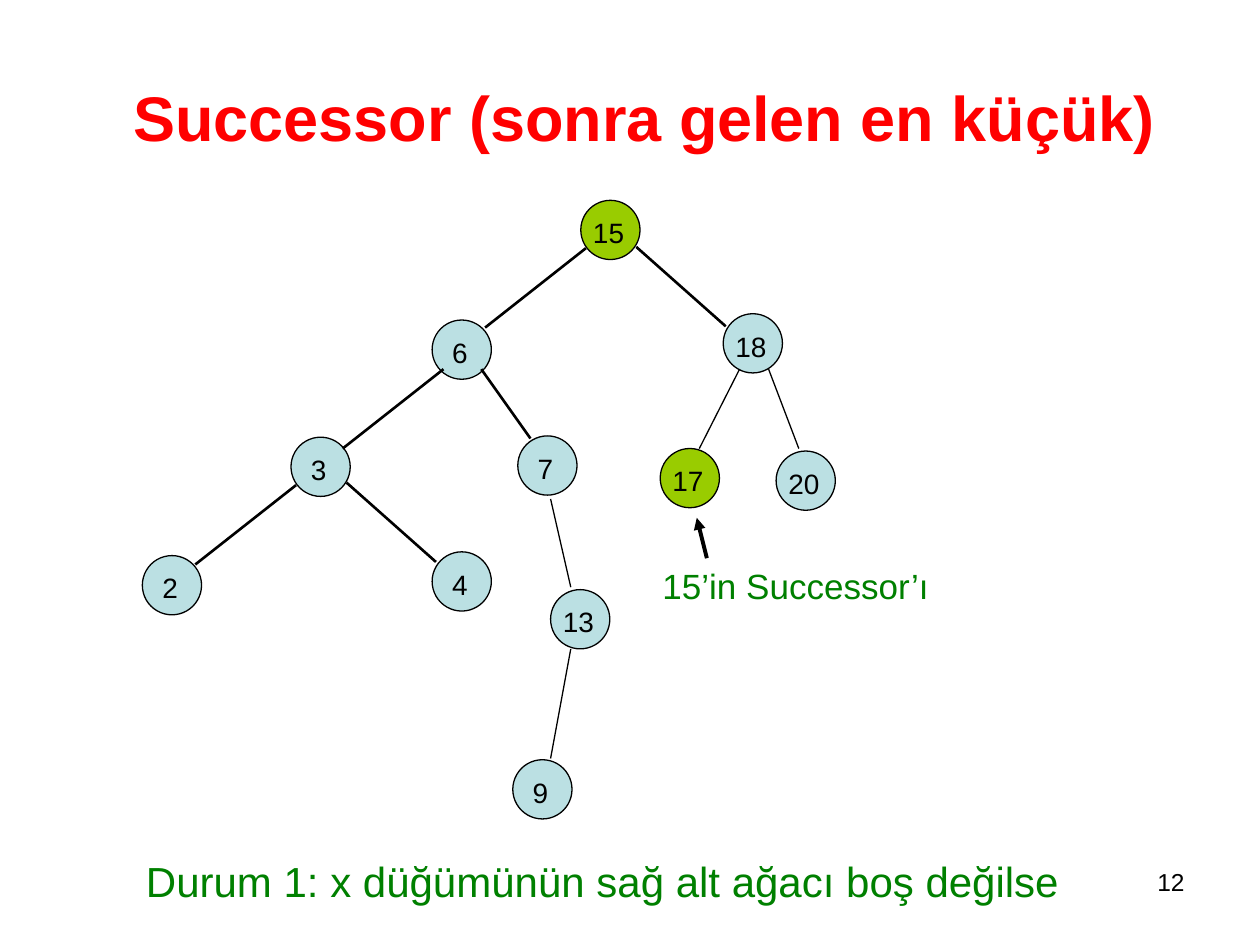
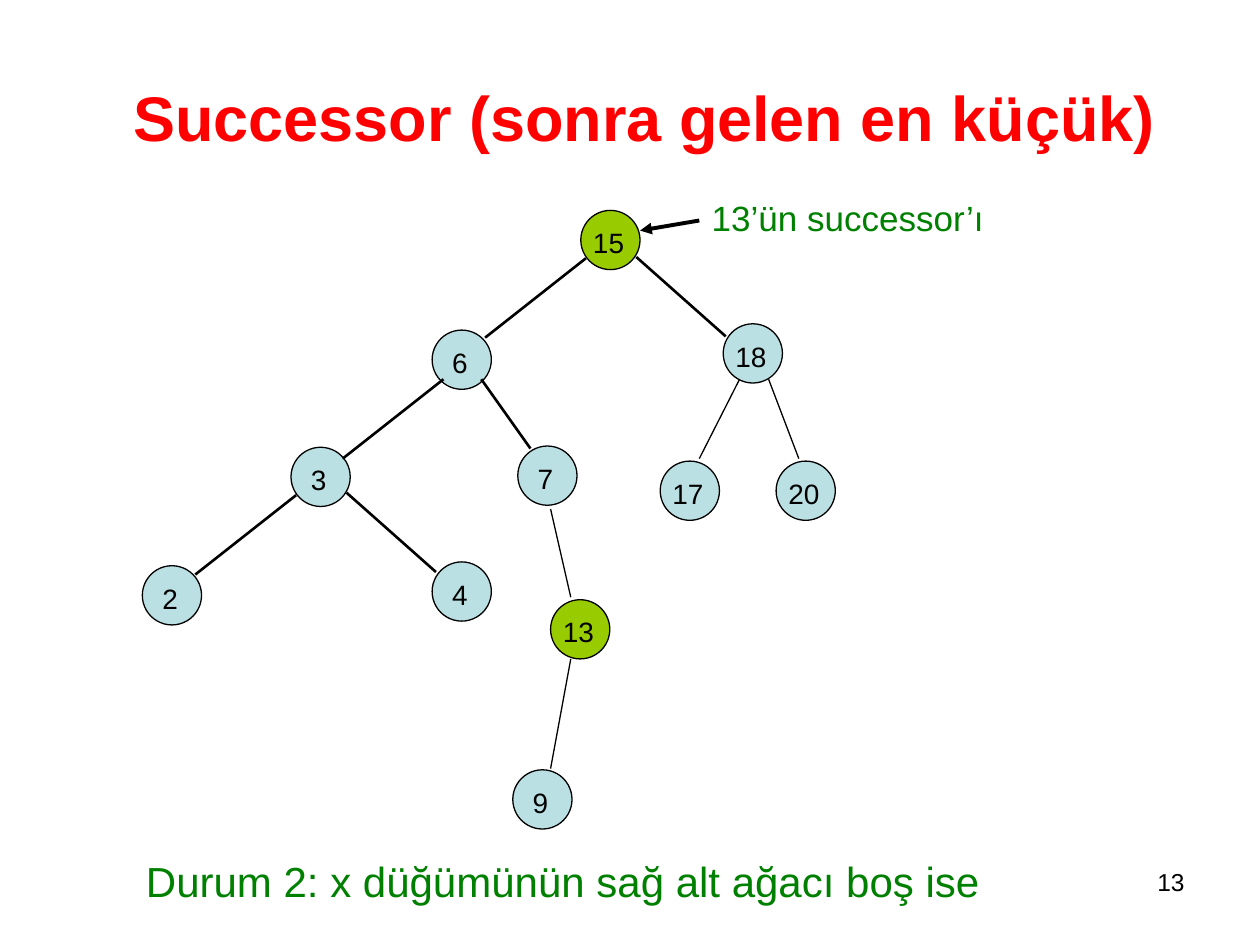
from lxml import etree
from pptx import Presentation
from pptx.dml.color import RGBColor
from pptx.enum.shapes import MSO_CONNECTOR, MSO_SHAPE
from pptx.enum.text import MSO_ANCHOR, PP_ALIGN
from pptx.oxml.ns import qn
from pptx.util import Inches, Pt

FONT = "Arial"
BLACK, RED, GREEN = "000000", "FF0000", "008000"
NODE_FILL, MARKED_FILL = "BBE0E3", "99CC00"
TITLE = "Successor (sonra gelen en küçük)"
TITLE_BOX = (0.5, 0.3, 9.23, 1.25)
CASE_BOX = (1.06, 6.74, 8.11, 0.5)
NUMBER_BOX = (7.17, 6.83, 2.33, 0.52)
NODE_SIZE = 0.47
THICK, THIN, ARROW = 1.5, 0.75, 2.25

NODES = {
    15: (4.61, 1.59), 6: (3.43, 2.54), 18: (5.74, 2.49),
    3: (2.31, 3.47), 7: (4.11, 3.46), 17: (5.24, 3.58), 20: (6.16, 3.58),
    2: (1.13, 4.41), 4: (3.43, 4.38), 13: (4.37, 4.68), 9: (4.07, 6.03),
}
EDGES = [
    (4.65, 1.97, 3.85, 2.6, THICK),
    (5.05, 1.96, 5.76, 2.59, THICK),
    (3.52, 2.93, 2.72, 3.56, THICK),
    (3.82, 2.93, 4.21, 3.48, THICK),
    (2.35, 3.85, 1.55, 4.48, THICK),
    (2.75, 3.83, 3.46, 4.46, THICK),
    (4.37, 3.96, 4.53, 4.66, THIN),
    (4.53, 5.15, 4.37, 6.02, THIN),
    (5.87, 2.93, 5.55, 3.56, THIN),
    (6.1, 2.93, 6.34, 3.56, THIN),
]
SLIDES = [
    {
        "number": "12",
        "case": "Durum 1: x düğümünün sağ alt ağacı boş değilse",
        "drop": 0, "moved": {17: (5.24, 3.56)}, "marked": (15, 17),
        "note": "15’in Successor’ı", "note_box": (5.16, 4.43, 2.6, 0.44),
        "arrow": (5.61, 4.43, 5.53, 4.11),
    },
    {
        "number": "13",
        "case": "Durum 2: x düğümünün sağ alt ağacı boş ise",
        "drop": 0.08, "moved": {}, "marked": (15, 13),
        "note": "13’ün successor’ı", "note_box": (5.55, 1.51, 2.52, 0.44),
        "arrow": (5.55, 1.75, 5.08, 1.83),
    },
]


def rgb(color):
    return RGBColor.from_string(color)


def write(tf, text, size, color, align=PP_ALIGN.LEFT, bold=False):
    tf.word_wrap = True
    p = tf.paragraphs[0]
    p.alignment = align
    r = p.add_run()
    r.text = text
    r.font.name = FONT
    r.font.size = Pt(size)
    r.font.bold = bold
    r.font.color.rgb = rgb(color)


def add_text(s, box, *style):
    tb = s.shapes.add_textbox(*map(Inches, box))
    write(tb.text_frame, *style)


def add_title(s):
    title = s.shapes.title
    title.left, title.top, title.width, title.height = map(Inches, TITLE_BOX)
    title.text_frame.vertical_anchor = MSO_ANCHOR.MIDDLE
    write(title.text_frame, TITLE, 36, RED, PP_ALIGN.CENTER, True)


def add_node(s, key, x, y, fill):
    sp = s.shapes.add_shape(MSO_SHAPE.OVAL, *map(Inches, (x, y, NODE_SIZE, NODE_SIZE)))
    sp.shadow.inherit = False
    sp.fill.solid()
    sp.fill.fore_color.rgb = rgb(fill)
    sp.line.color.rgb = rgb(BLACK)
    sp.line.width = Pt(THIN)
    tf = sp.text_frame
    tf.margin_left = tf.margin_bottom = 0
    tf.margin_right = Inches(0.03)
    tf.margin_top = Inches(0.04)
    tf.vertical_anchor = MSO_ANCHOR.MIDDLE
    write(tf, str(key), 16, BLACK, PP_ALIGN.CENTER)


def add_line(s, ends, width, arrow=False):
    cn = s.shapes.add_connector(MSO_CONNECTOR.STRAIGHT, *map(Inches, ends))
    cn.line.color.rgb = rgb(BLACK)
    cn.line.width = Pt(width)
    if arrow:
        etree.SubElement(cn.line._get_or_add_ln(), qn("a:tailEnd"), type="triangle")
    etree.SubElement(cn._element.spPr, qn("a:effectLst"))


def add_tree(s, drop, moved, marked):
    for key, (x, y) in {**NODES, **moved}.items():
        add_node(s, key, x, y + drop, MARKED_FILL if key in marked else NODE_FILL)
    for x1, y1, x2, y2, width in EDGES:
        add_line(s, (x1, y1 + drop, x2, y2 + drop), width)


def main():
    prs = Presentation()
    prs.slide_width, prs.slide_height = Inches(10), Inches(7.5)
    for item in SLIDES:
        s = prs.slides.add_slide(prs.slide_layouts[5])
        add_title(s)
        add_tree(s, item["drop"], item["moved"], item["marked"])
        add_text(s, item["note_box"], item["note"], 20, GREEN)
        add_line(s, item["arrow"], ARROW, True)
        add_text(s, CASE_BOX, item["case"], 24, GREEN)
        add_text(s, NUMBER_BOX, item["number"], 14, BLACK, PP_ALIGN.RIGHT)
    prs.save("out.pptx")


if __name__ == "__main__":
    main()
